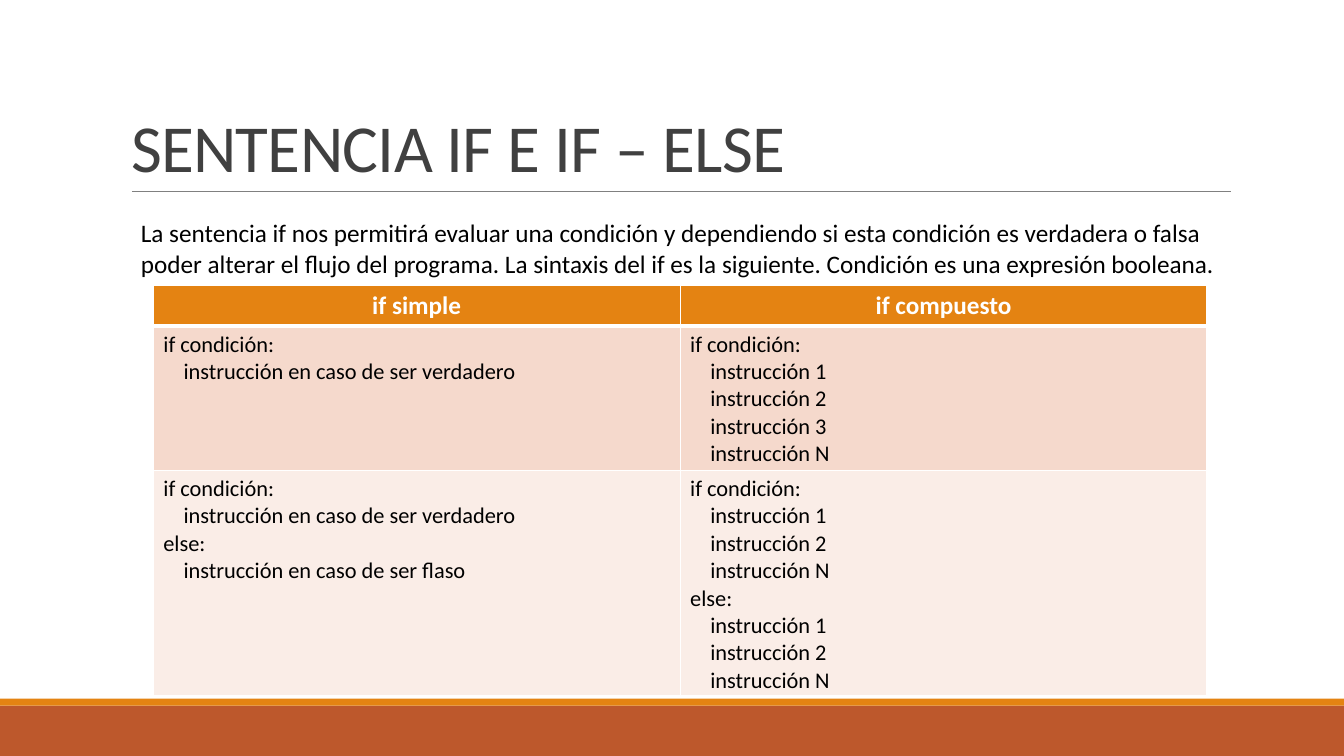
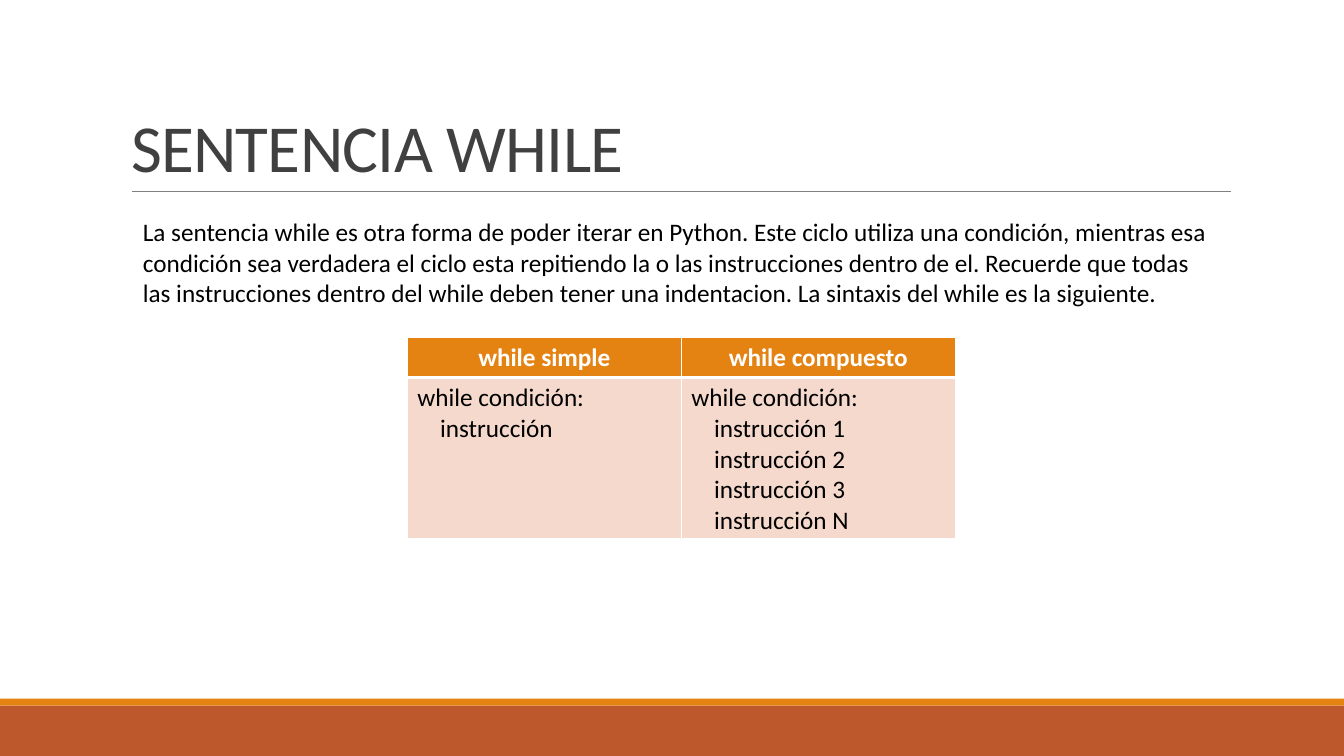
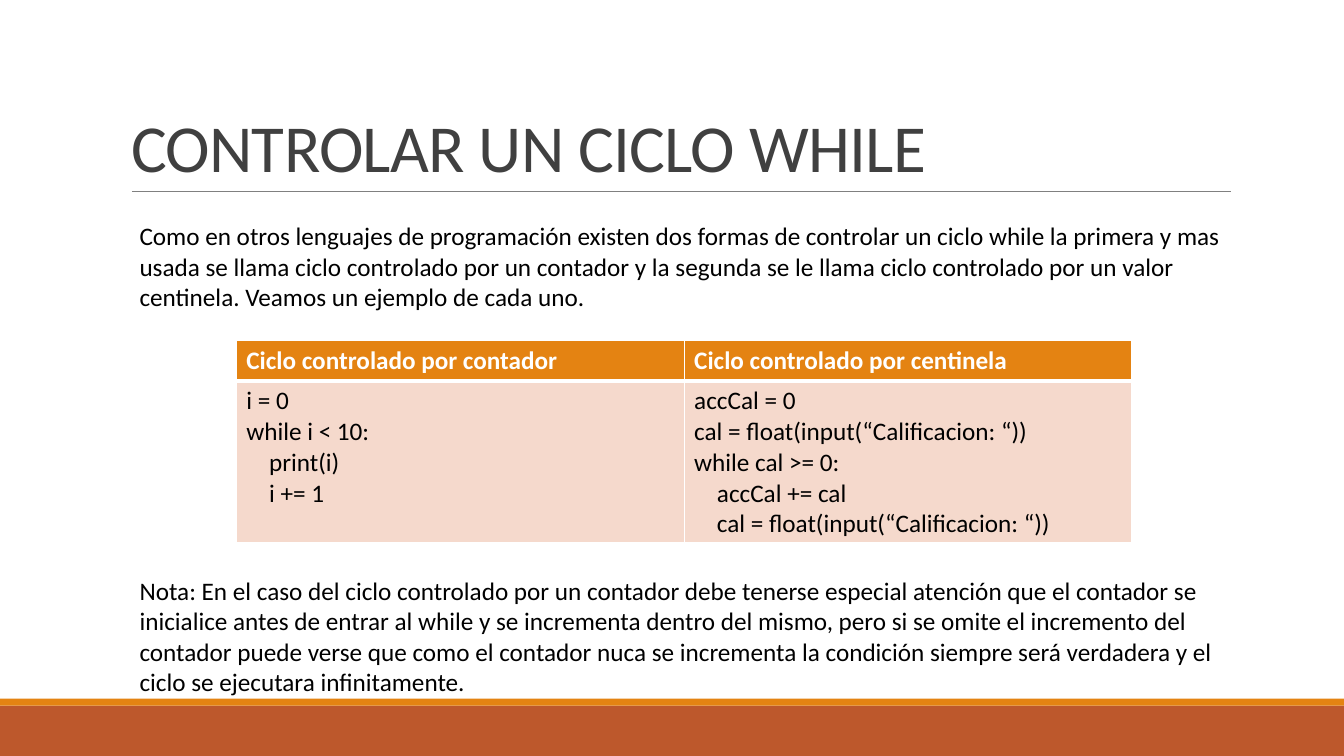
import pptx
import pptx.dml.color
import pptx.enum.shapes
import pptx.enum.text
import pptx.oxml
import pptx.oxml.ns
import pptx.util

Pt = pptx.util.Pt
RGB = pptx.dml.color.RGBColor.from_string
ALIGN = pptx.enum.text.PP_ALIGN

FONT = "Calibri"
BODY_SIZE = 18
COLORS = {
    "title": "404040",
    "text": "000000",
    "white": "FFFFFF",
    "rule": "808080",
    "band": "BD582C",
    "accent": "E48312",
    "row_odd": "F5D9CC",
    "row_even": "FAEDE7",
}

# Texts are (left, top, width, height, text).
# Cells hold lines of code; each leading tab is one indent level.
SLIDES = [
    {
        "title": "SENTENCIA IF E IF – ELSE",
        "texts": [
            (93.6, 152, 784.8, 51,
             "La sentencia if nos permitirá evaluar una condición y dependiendo si esta "
             "condición es verdadera o falsa poder alterar el flujo del programa. La "
             "sintaxis del if es la siguiente. Condición es una expresión booleana."),
        ],
        "table": (109.5, 203.8, 752.6),
        "header_align": ALIGN.CENTER,
        "code_size": 16,
        "rows": [
            ["if simple", "if compuesto"],
            ["if condición:\n\tinstrucción en caso de ser verdadero",
             "if condición:\n\tinstrucción 1\n\tinstrucción 2\n\tinstrucción 3\n\tinstrucción N"],
            ["if condición:\n\tinstrucción en caso de ser verdadero\n"
             "else:\n\tinstrucción en caso de ser flaso",
             "if condición:\n\tinstrucción 1\n\tinstrucción 2\n\tinstrucción N\n"
             "else:\n\tinstrucción 1\n\tinstrucción 2\n\tinstrucción N"],
        ],
    },
    {
        "title": "SENTENCIA WHILE",
        "texts": [
            (95, 151.2, 783.4, 72.7,
             "La sentencia while es otra forma de poder iterar en Python. Este ciclo "
             "utiliza una condición, mientras esa condición sea verdadera el ciclo esta "
             "repitiendo la o las instrucciones dentro de el. Recuerde que todas las "
             "instrucciones dentro del while deben tener una indentacion. La sintaxis "
             "del while es la siguiente."),
        ],
        "table": (291, 240.8, 391.4),
        "header_align": ALIGN.CENTER,
        "code_size": 18,
        "rows": [
            ["while simple", "while compuesto"],
            ["while condición:\n\tinstrucción",
             "while condición:\n\tinstrucción 1\n\tinstrucción 2\n\tinstrucción 3\n\tinstrucción N"],
        ],
    },
    {
        "title": "CONTROLAR UN CICLO WHILE",
        "texts": [
            (92.6, 154, 792, 72.7,
             "Como en otros lenguajes de programación existen dos formas de controlar un "
             "ciclo while la primera y mas usada se llama ciclo controlado por un "
             "contador y la segunda se le llama ciclo controlado por un valor centinela. "
             "Veamos un ejemplo de cada uno."),
            (92.6, 407.5, 785.6, 94.5,
             "Nota: En el caso del ciclo controlado por un contador debe tenerse especial "
             "atención que el contador se inicialice antes de entrar al while y se "
             "incrementa dentro del mismo, pero si se omite el incremento del contador "
             "puede verse que como el contador nuca se incrementa la condición siempre "
             "será verdadera y el ciclo se ejecutara infinitamente."),
        ],
        "table": (168.8, 243.2, 639.8),
        "header_align": ALIGN.LEFT,
        "code_size": 18,
        "rows": [
            ["Ciclo controlado por contador", "Ciclo controlado por centinela"],
            ["i = 0\nwhile i < 10:\n\tprint(i)\n\ti += 1",
             "accCal = 0\ncal = float(input(“Calificacion: “))\nwhile cal >= 0:\n"
             "\taccCal += cal\n\tcal = float(input(“Calificacion: “))"],
        ],
    },
]


def set_font(p, size, color, bold=False):
    p.font.name = FONT
    p.font.size = Pt(size)
    p.font.bold = bold
    p.font.color.rgb = RGB(COLORS[color])


def set_borders(cell, top, bottom):
    """Draw white borders, 1 pt at the sides; call before filling the cell."""
    tc_pr = cell._tc.get_or_add_tcPr()
    for side, width in (("L", 1), ("R", 1), ("T", top), ("B", bottom)):
        tc_pr.append(pptx.oxml.parse_xml(
            f'<a:ln{side} {pptx.oxml.ns.nsdecls("a")} w="{Pt(width)}"><a:solidFill>'
            f'<a:srgbClr val="{COLORS["white"]}"/></a:solidFill></a:ln{side}>'))


prs = pptx.Presentation()
prs.slide_width, prs.slide_height = Pt(960), Pt(540)
layout = prs.slide_layouts[5]

for content in SLIDES:
    s = prs.slides.add_slide(layout)

    title = s.shapes.title
    title.left, title.top, title.width, title.height = Pt(86.4), Pt(22.5), Pt(792), Pt(114.3)
    tf = title.text_frame
    tf.text = content["title"]
    tf.word_wrap = True
    tf.auto_size = pptx.enum.text.MSO_AUTO_SIZE.NONE
    tf.vertical_anchor = pptx.enum.text.MSO_ANCHOR.BOTTOM
    p = tf.paragraphs[0]
    p.alignment = ALIGN.LEFT
    p.line_spacing = 0.85
    set_font(p, 48, "title")
    p.runs[0].font._element.set("spc", "-50")

    for left, top, width, height, text in content["texts"]:
        tf = s.shapes.add_textbox(Pt(left), Pt(top), Pt(width), Pt(height)).text_frame
        tf.word_wrap = True
        tf.auto_size = pptx.enum.text.MSO_AUTO_SIZE.SHAPE_TO_FIT_TEXT
        tf.text = text
        set_font(tf.paragraphs[0], BODY_SIZE, "text")

    rows = content["rows"]
    sizes = [BODY_SIZE] + [content["code_size"]] * (len(rows) - 1)
    heights = [max(text.count("\n") + 1 for text in row) * size * 1.2 + 7.2
               for row, size in zip(rows, sizes)]
    left, top, width = content["table"]
    table = s.shapes.add_table(len(rows), 2, Pt(left), Pt(top), Pt(width),
                               Pt(sum(heights))).table
    table.horz_banding = False
    for i, row in enumerate(rows):
        header = i == 0
        table.rows[i].height = Pt(heights[i])
        for j, text in enumerate(row):
            cell = table.cell(i, j)
            set_borders(cell, top=3 if i == 1 else 1, bottom=3 if header else 1)
            cell.fill.solid()
            fill = "accent" if header else "row_odd" if i % 2 else "row_even"
            cell.fill.fore_color.rgb = RGB(COLORS[fill])
            lines = text.split("\n")
            cell.text = "\n".join(line.strip("\t") for line in lines)
            for p, line in zip(cell.text_frame.paragraphs, lines):
                set_font(p, sizes[i], "white" if header else "text", bold=header)
                p.alignment = content["header_align"] if header else ALIGN.LEFT
                if line.startswith("\t"):
                    indent = line.count("\t") * sizes[i] * 0.9
                    p._p.get_or_add_pPr().set("marL", str(Pt(indent)))

# The bands and the rule under the title move to the layout that all slides share.
layout_tree = layout.element.cSld.spTree
for top, height, color in ((504, 36, "band"), (499, 5, "accent")):
    band = s.shapes.add_shape(pptx.enum.shapes.MSO_SHAPE.RECTANGLE,
                              Pt(0), Pt(top), Pt(960), Pt(height))
    band.shadow.inherit = False
    band.fill.solid()
    band.fill.fore_color.rgb = RGB(COLORS[color])
    band.line.fill.background()
    layout_tree.append(band.element)

rule = s.shapes.add_connector(pptx.enum.shapes.MSO_CONNECTOR.STRAIGHT,
                              Pt(94.3), Pt(136.8), Pt(879.1), Pt(136.8))
rule.line.color.rgb = RGB(COLORS["rule"])
rule.line.width = Pt(0.5)
rule.element.spPr.append(pptx.oxml.parse_xml(f'<a:effectLst {pptx.oxml.ns.nsdecls("a")}/>'))
layout_tree.append(rule.element)

prs.save("out.pptx")
